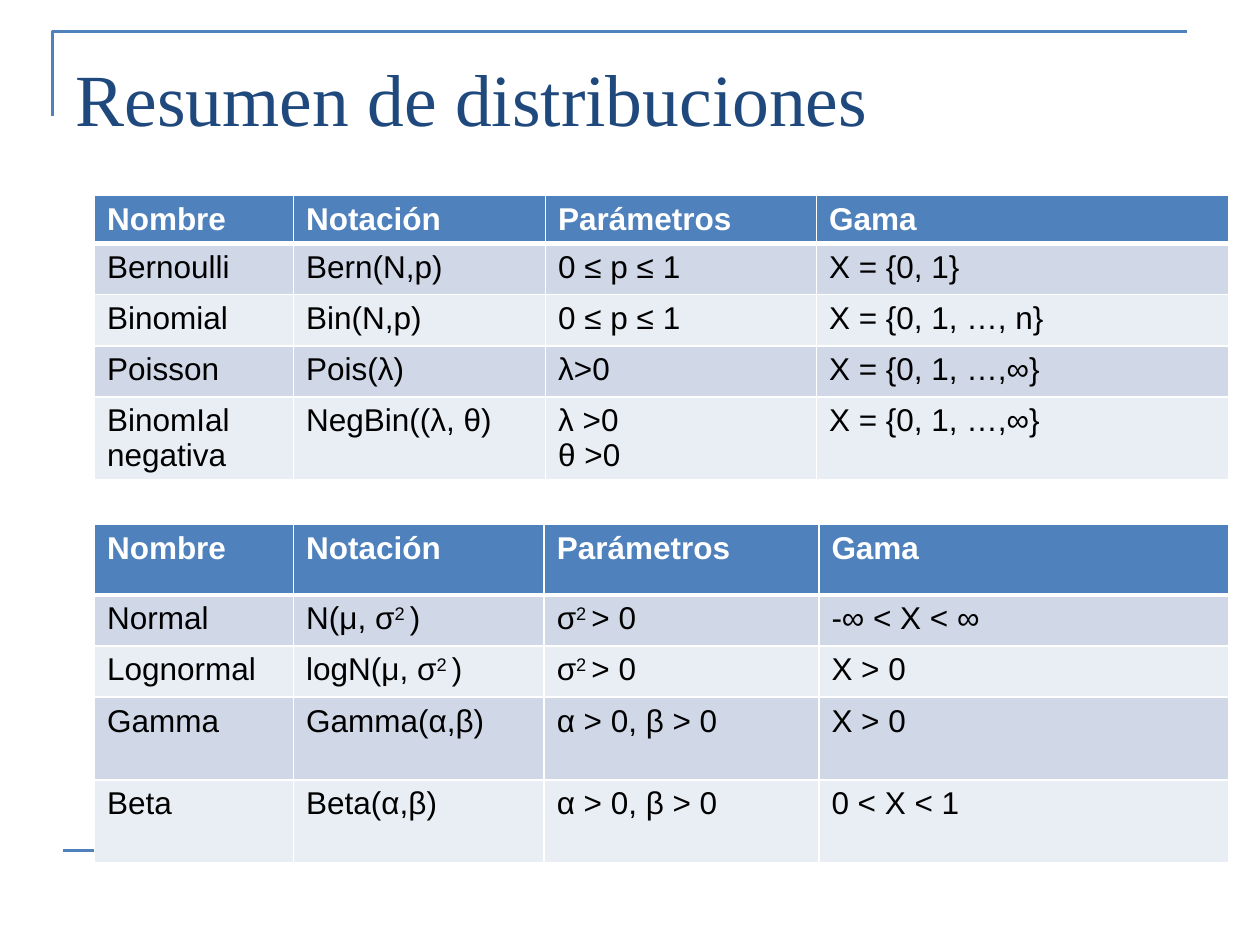
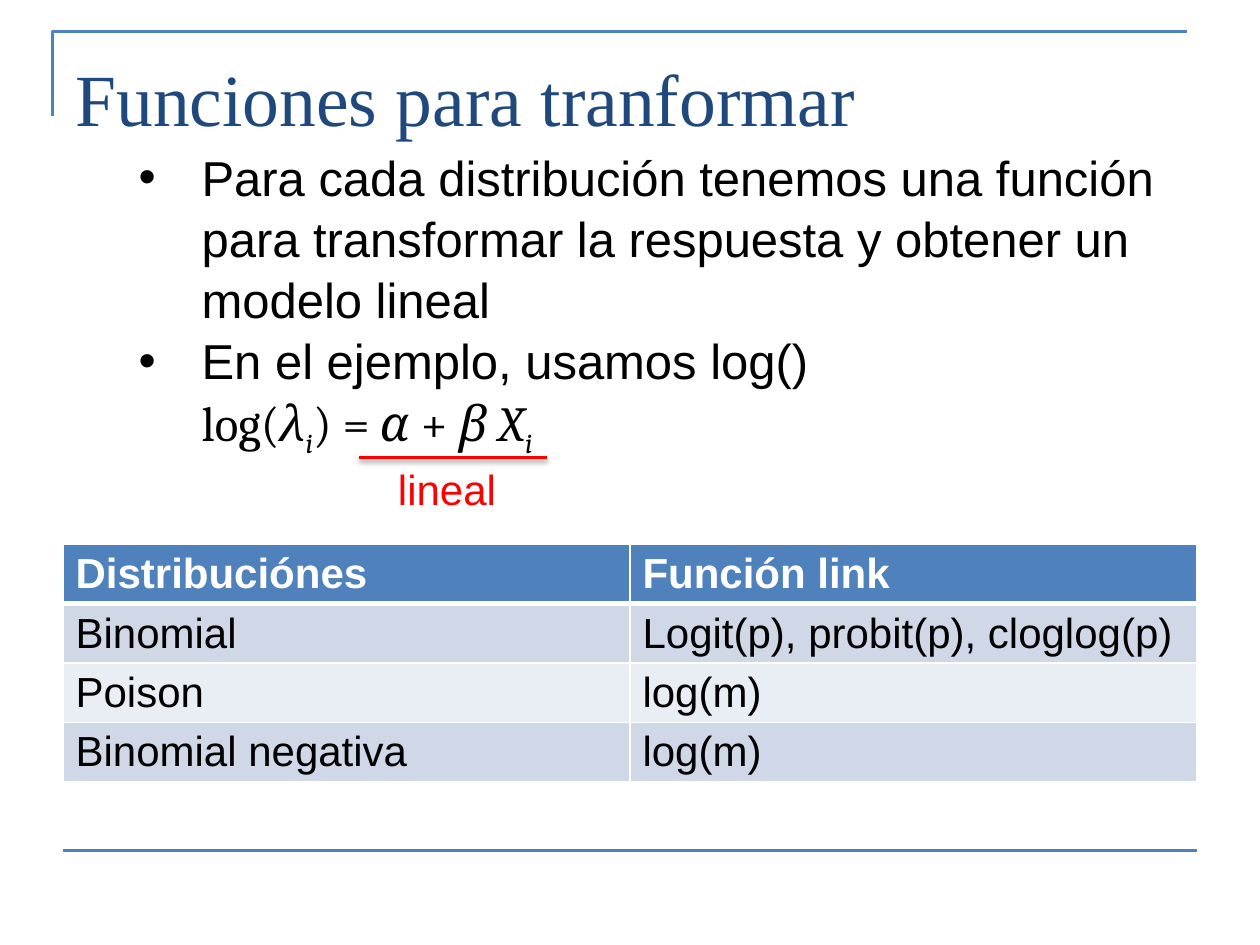
import dataclasses

import lxml.etree
import pptx
import pptx.dml.color
import pptx.enum.shapes
import pptx.enum.text
import pptx.oxml.ns
import pptx.util

Pt = pptx.util.Pt
qn = pptx.oxml.ns.qn

HUES = {
    "rule": "4F81BD",
    "title": "1F497D",
    "odd": "D0D8E8",
    "even": "E9EDF4",
    "white": "FFFFFF",
    "black": "000000",
    "red": "FF0000",
}
SANS, SERIF, MATH = "Arial", "Times New Roman", "Cambria"


@dataclasses.dataclass
class Grid:
    left: float
    top: float
    cols: list[float]
    rows: list[float]
    size: float
    cells: list[list[str]]


@dataclasses.dataclass
class Line:
    start: tuple[float, float]
    end: tuple[float, float]
    hue: str
    width: float


HEAD = ["Nombre", "Notación", "Parámetros", "Gama"]

# Text between two ^ marks is raised.
COUNTS = Grid(54, 111.8, [113.8, 144, 154.8, 235.4], [26.6, 29.2, 29.2, 29.2, 47.2], 18, [
    HEAD,
    ["Bernoulli", "Bern(N,p)", "0 ≤ p ≤ 1", "X = {0, 1}"],
    ["Binomial", "Bin(N,p)", "0 ≤ p ≤ 1", "X = {0, 1, …, n}"],
    ["Poisson", "Pois(λ)", "λ>0", "X = {0, 1, …,∞}"],
    ["BinomIal negativa", "NegBin((λ, θ)", "λ >0\nθ >0", "X = {0, 1, …,∞}"],
])
REALS = Grid(54, 299.8, [113.8, 143.2, 157, 234], [40.2, 29.2, 29.2, 47.4, 47.4], 18, [
    HEAD,
    ["Normal", "N(μ, σ^2 ^)", "σ^2 ^> 0", "-∞ < X < ∞"],
    ["Lognormal", "logN(μ, σ^2 ^)", "σ^2 ^> 0", "X > 0"],
    ["Gamma", "Gamma(α,β)", "α > 0, β > 0", "X > 0"],
    ["Beta", "Beta(α,β)", "α > 0, β > 0", "0 < X < 1"],
])
LINKS = Grid(36, 311, [324, 324], [29.5] * 4, 24, [
    ["Distribuciónes", "Función link"],
    ["Binomial", "Logit(p), probit(p), cloglog(p)"],
    ["Poison", "log(m)"],
    ["Binomial negativa", "log(m)"],
])
POINTS = [
    "Para cada distribución tenemos una función para transformar la respuesta "
    "y obtener un modelo lineal",
    "En el ejemplo, usamos log()",
]
MODEL = [
    ("log(", {}),
    ("λ", {"slant": True}),
    ("i", {"slant": True, "base": -25}),
    (") =", {}),
    (" α", {"slant": True}),
    (" + ", {}),
    ("β X", {"slant": True}),
    ("i", {"slant": True, "base": -25}),
]


def rgb(hue: str) -> pptx.dml.color.RGBColor:
    return pptx.dml.color.RGBColor.from_string(HUES[hue])


def put(para, text: str, *, size: float, font: str = SANS, hue: str = "black",
        bold: bool = False, slant: bool = False, base: int = 0) -> None:
    """Add a run; base raises or lowers it by a percentage."""
    run = para.add_run()
    run.text = text
    run.font.size, run.font.name = Pt(size), font
    run.font.bold, run.font.italic = bold, slant
    run.font.color.rgb = rgb(hue)
    if base:
        run._r.get_or_add_rPr().set("baseline", str(base * 1000))


def place(shape, left: float, top: float, width: float, height: float) -> None:
    shape.left, shape.top = Pt(left), Pt(top)
    shape.width, shape.height = Pt(width), Pt(height)


def edge(cell, side: str, width: float) -> None:
    line = lxml.etree.SubElement(cell._tc.get_or_add_tcPr(), qn(f"a:ln{side}"), w=str(Pt(width)))
    fill = lxml.etree.SubElement(line, qn("a:solidFill"))
    lxml.etree.SubElement(fill, qn("a:srgbClr"), val=HUES["white"])


def draw_grid(slide, grid: Grid) -> None:
    table = slide.shapes.add_table(
        len(grid.rows), len(grid.cols), Pt(grid.left), Pt(grid.top),
        Pt(sum(grid.cols)), Pt(sum(grid.rows))).table
    for col, width in zip(table.columns, grid.cols):
        col.width = Pt(width)
    for r, (row, height) in enumerate(zip(table.rows, grid.rows)):
        row.height = Pt(height)
        hue = "rule" if r == 0 else "odd" if r % 2 else "even"
        for cell, text in zip(row.cells, grid.cells[r]):
            for side in "LRTB":
                thick = (r, side) in ((0, "B"), (1, "T"))
                edge(cell, side, 3 if thick else 1)
            cell.fill.solid()
            cell.fill.fore_color.rgb = rgb(hue)
            for n, part in enumerate(text.split("\n")):
                frame = cell.text_frame
                para = frame.add_paragraph() if n else frame.paragraphs[0]
                for k, bit in enumerate(part.split("^")):
                    put(para, bit, size=grid.size, bold=r == 0,
                        hue="black" if r else "white", base=30 * (k % 2))


def draw_line(slide, line: Line):
    """Draw a straight line and return it with its empty effect list."""
    shape = slide.shapes.add_connector(
        pptx.enum.shapes.MSO_CONNECTOR.STRAIGHT, *map(Pt, line.start + line.end))
    shape.line.color.rgb = rgb(line.hue)
    shape.line.width = Pt(line.width)
    return shape, lxml.etree.SubElement(shape.element.spPr, qn("a:effectLst"))


def draw_frame(deck, slide) -> None:
    """Draw the corner and foot rule, then move them to the slide master."""
    path = slide.shapes.build_freeform(Pt(30.2), Pt(66.2))
    path.add_line_segments([(Pt(30.2), Pt(18)), (Pt(678.2), Pt(18))], close=False)
    corner = path.convert_to_shape()
    corner.shadow.inherit = False
    corner.fill.background()
    corner.line.color.rgb = rgb("rule")
    corner.line.width = Pt(1.5)
    foot, _ = draw_line(slide, Line((36, 486), (684, 486), "rule", 1.5))
    for n, shape in enumerate((corner, foot)):
        shape.element.xpath("./*/p:cNvPr")[0].set("id", str(101 + n))
        deck.slide_master.shapes.element.append(shape.element)


def add_slide(deck, layout: int, text: str):
    slide = deck.slides.add_slide(deck.slide_layouts[layout])
    title = slide.shapes.title
    place(title, 36, 21.6, 648, 90)
    frame = title.text_frame
    frame.vertical_anchor = pptx.enum.text.MSO_ANCHOR.TOP
    frame.auto_size = pptx.enum.text.MSO_AUTO_SIZE.NONE
    frame.margin_top = Pt(8.6)
    para = frame.paragraphs[0]
    para.alignment = pptx.enum.text.PP_ALIGN.LEFT
    put(para, text, size=42, font=SERIF, hue="title")
    return slide


def indent(para, hang: float, mark: str = "") -> None:
    """Set a 72 pt margin, with a hanging bullet if a mark is given."""
    para.space_before = Pt(0)
    para.line_spacing = 1.04
    props = para._p.get_or_add_pPr()
    props.set("marL", str(Pt(72)))
    props.set("indent", str(Pt(-hang)))
    if mark:
        lxml.etree.SubElement(props, qn("a:buFont"), typeface=SANS)
        lxml.etree.SubElement(props, qn("a:buChar"), char=mark)
    else:
        lxml.etree.SubElement(props, qn("a:buNone"))


def draw_list(slide) -> None:
    body = slide.placeholders[1]
    place(body, 36, 79.2, 638, 324)
    frame = body.text_frame
    frame.word_wrap = True
    frame.auto_size = pptx.enum.text.MSO_AUTO_SIZE.NONE
    for n, text in enumerate(POINTS):
        para = frame.add_paragraph() if n else frame.paragraphs[0]
        indent(para, 36, "•")
        put(para, text, size=28)
    para = frame.add_paragraph()
    indent(para, 0)
    for text, style in MODEL:
        put(para, text, size=28, font=MATH, **style)


def draw_mark(slide) -> None:
    """Underline the linear part of the model and name it."""
    box = slide.shapes.add_textbox(Pt(220.3), Pt(261.4), Pt(71.3), Pt(36))
    box.text_frame.word_wrap = False
    box.text_frame.auto_size = pptx.enum.text.MSO_AUTO_SIZE.SHAPE_TO_FIT_TEXT
    put(box.text_frame.paragraphs[0], "lineal", size=24, hue="red")
    _, glow = draw_line(slide, Line((205.2, 261.4), (312.5, 261.4), "red", 2))
    shade = lxml.etree.SubElement(
        glow, qn("a:outerShdw"), blurRad=str(Pt(3.1)), dist=str(Pt(1.6)),
        dir=str(90 * 60000), rotWithShape="0")
    tint = lxml.etree.SubElement(shade, qn("a:srgbClr"), val=HUES["black"])
    lxml.etree.SubElement(tint, qn("a:alpha"), val="38000")


def main() -> None:
    deck = pptx.Presentation()
    deck.slide_width, deck.slide_height = Pt(720), Pt(540)

    slide = add_slide(deck, 5, "Resumen de distribuciones")
    draw_frame(deck, slide)
    draw_grid(slide, COUNTS)
    draw_grid(slide, REALS)

    slide = add_slide(deck, 1, "Funciones para tranformar")
    draw_grid(slide, LINKS)
    draw_list(slide)
    draw_mark(slide)

    deck.save("out.pptx")


if __name__ == "__main__":
    main()
